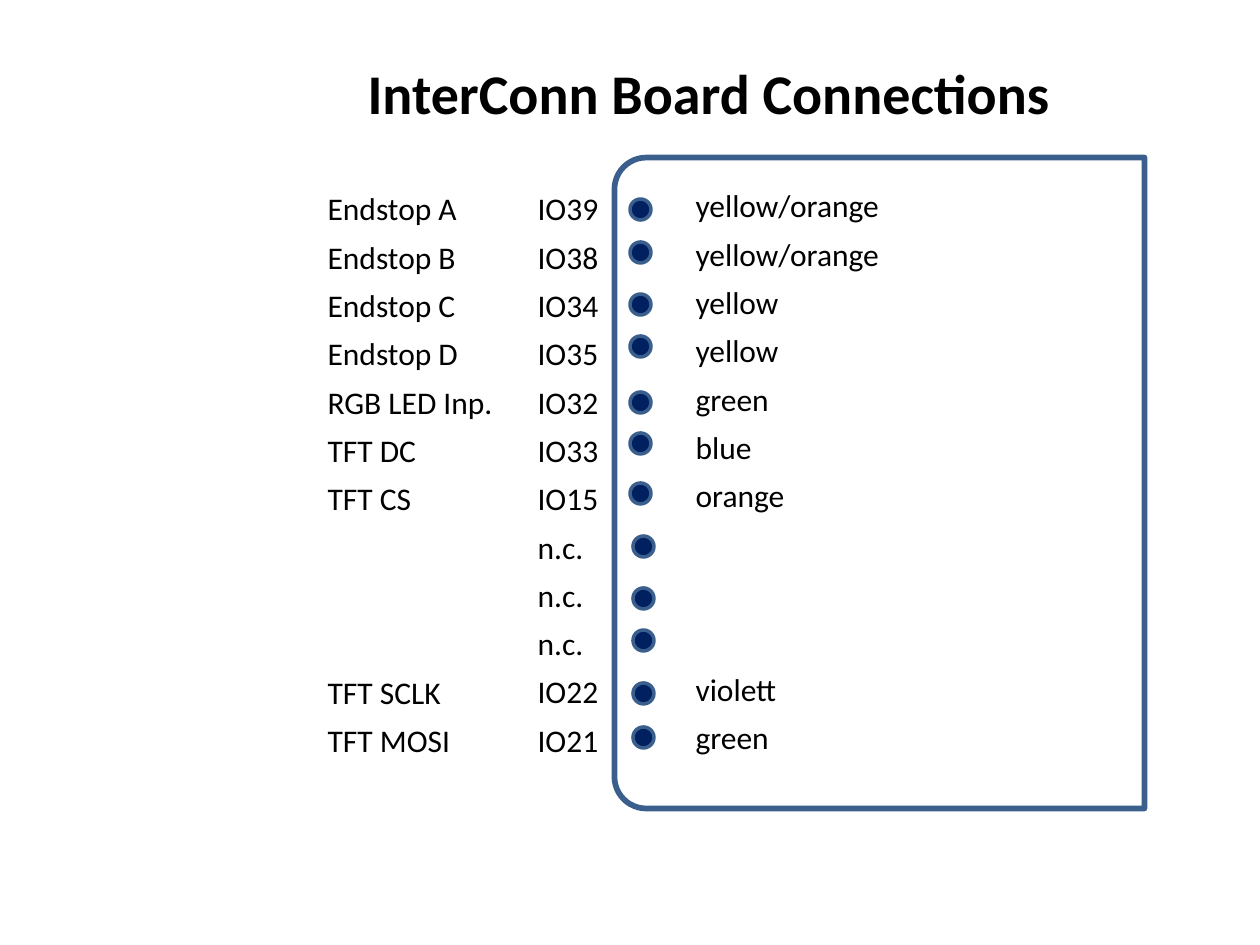
from lxml.etree import SubElement
from pptx import Presentation
from pptx.dml.color import RGBColor
from pptx.enum.shapes import MSO_SHAPE as SHAPE
from pptx.enum.text import MSO_ANCHOR as ANCHOR, MSO_AUTO_SIZE as AUTO_SIZE, PP_ALIGN as ALIGN
from pptx.oxml.ns import qn
from pptx.util import Inches, Pt

PX = Inches(1) // 126
BLACK = RGBColor(0x00, 0x00, 0x00)
NAVY = RGBColor(0x00, 0x20, 0x60)
STEEL = RGBColor(0x3A, 0x5F, 0x8C)

UNUSED_ROWS_GAP = 83
SIGNALS = ["Endstop A", "Endstop B", "Endstop C", "Endstop D", "RGB LED Inp.",
           "TFT DC", "TFT CS", None, None, None, "TFT SCLK", "TFT MOSI"]
PINS = ["IO39", "IO38", "IO34", "IO35", "IO32", "IO33", "IO15",
        "n.c.", "n.c.", "n.c.", "IO22", "IO21"]
WIRES = ["yellow/orange", "yellow/orange", "yellow", "yellow", "green", "blue",
         "orange", None, None, None, "violett", "green"]
PAD_TOPS = [199, 242, 294, 336, 392, 433, 483, 536, 588, 630, 683, 727]


def place(sp, left, top, width, height):
    sp.left, sp.top, sp.width, sp.height = (v * PX for v in (left, top, width, height))


def prepare_text(sp, anchor):
    tf = sp.text_frame
    tf.word_wrap = True
    tf.auto_size = AUTO_SIZE.NONE
    tf.vertical_anchor = anchor
    return tf


def add_run(p, text, size, bold=False):
    p.alignment = ALIGN.LEFT
    r = p.add_run()
    r.text = text
    r.font.name = "Calibri"
    r.font.size = Pt(size)
    r.font.bold = bold
    r.font.color.rgb = BLACK


def fill_title(sp, text):
    place(sp, 355, 52, 777, 81)
    tf = prepare_text(sp, ANCHOR.MIDDLE)
    add_run(tf.paragraphs[0], text, 32, bold=True)


def fill_column(sp, labels, left, top, width):
    place(sp, left, top, width, 604)
    tf = prepare_text(sp, ANCHOR.TOP)
    p = tf.paragraphs[0]
    for i, label in enumerate(labels):
        if label is None:
            continue
        if i:
            p = tf.add_paragraph()
        after_gap = i > 0 and labels[i - 1] is None
        p.space_before = Pt(UNUSED_ROWS_GAP if after_gap else 0)
        p.space_after = Pt(6)
        pPr = p._p.get_or_add_pPr()
        pPr.set("marL", "0")
        pPr.set("indent", "0")
        SubElement(pPr, qn("a:buNone"))
        add_run(p, label, 18)


def add_outlined(slide, kind, box, line_width):
    sp = slide.shapes.add_shape(kind, 0, 0, 0, 0)
    place(sp, *box)
    sp.shadow.inherit = False
    sp.line.color.rgb = STEEL
    sp.line.width = Pt(line_width)
    return sp


def add_board(slide):
    sp = add_outlined(slide, SHAPE.ROUND_2_SAME_RECTANGLE, (554, 218, 651, 530), 3.25)
    sp.adjustments[0] = 0.06
    sp.rotation = 270
    sp.fill.background()


def add_pads(slide):
    for i, top in enumerate(PAD_TOPS):
        left = 630 if i < 7 else 633
        sp = add_outlined(slide, SHAPE.OVAL, (left, top, 21, 21), 2)
        sp.fill.solid()
        sp.fill.fore_color.rgb = NAVY


def main():
    prs = Presentation()
    prs.slide_width, prs.slide_height = Inches(10), Inches(7.5)
    slide = prs.slides.add_slide(prs.slide_layouts.get_by_name("Comparison"))
    title, signals, pins, wires, spare = slide.placeholders
    spare.element.getparent().remove(spare.element)
    fill_title(title, "InterConn Board Connections")
    fill_column(signals, SIGNALS, 315, 183, 388)
    fill_column(pins, PINS, 525, 183, 158)
    fill_column(wires, WIRES, 683, 180, 410)
    add_board(slide)
    add_pads(slide)
    prs.save("out.pptx")


if __name__ == "__main__":
    main()
